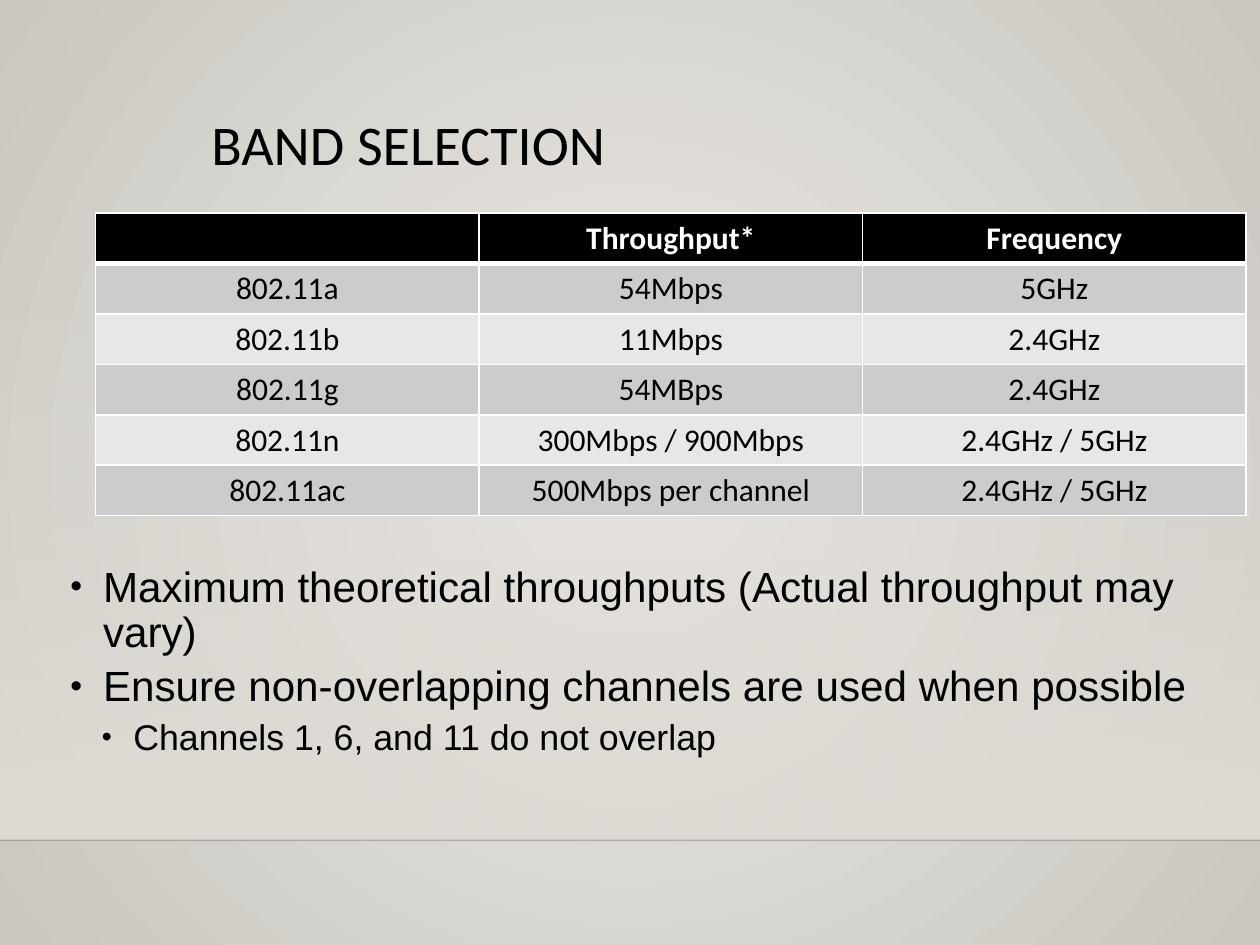
"""Build the Band Selection slide with its Wi-Fi table and notes on channels."""
from lxml import etree
from pptx import Presentation
from pptx.dml.color import RGBColor
from pptx.enum.shapes import MSO_CONNECTOR, MSO_SHAPE
from pptx.enum.text import PP_ALIGN
from pptx.oxml.ns import qn
from pptx.util import Inches, Pt

CENTER = PP_ALIGN.CENTER
RECT = MSO_SHAPE.RECTANGLE
STRAIGHT = MSO_CONNECTOR.STRAIGHT
ROWS = [
    ("", "Throughput*", "Frequency"),
    ("802.11a", "54Mbps", "5GHz"),
    ("802.11b", "11Mbps", "2.4GHz"),
    ("802.11g", "54MBps", "2.4GHz"),
    ("802.11n", "300Mbps / 900Mbps", "2.4GHz / 5GHz"),
    ("802.11ac", "500Mbps per channel", "2.4GHz / 5GHz"),
]
NOTES = [
    ("Maximum theoretical throughputs (Actual throughput may vary)", 0, 24.1, 0.51, -0.26),
    ("Ensure non-overlapping channels are used when possible", 0, 24.1, 0.51, -0.26),
    ("Channels 1, 6, and 11 do not overlap", 1, 20.4, 0.75, -0.25),
]


def paint(color, value):
    color.rgb = RGBColor.from_string(value)


def add(parent, tag, **attrs):
    node = etree.SubElement(parent, qn(tag))
    for name, value in attrs.items():
        node.set(name, str(value))
    return node


prs = Presentation()
prs.slide_width, prs.slide_height = Inches(10), Inches(7.5)
slide = prs.slides.add_slide(prs.slide_layouts[6])

back = slide.background.fill
back.gradient()
for stop, value in zip(back.gradient_stops, ("ECEAE7", "CAC7C1")):
    paint(stop.color, value)
grad = slide.element.find(".//" + qn("a:gradFill"))
grad.remove(grad.find(qn("a:lin")))
ring = add(grad, "a:path", path="circle")
add(ring, "a:fillToRect", l=50000, t=50000, r=50000, b=50000)

wall = slide.shapes.add_shape(RECT, 0, Inches(2.2), Inches(10), Inches(4.46))
wall.shadow.inherit = False
wall.line.fill.background()
wall.fill.gradient()
wall.fill.gradient_angle = 270
for stop, place in zip(wall.fill.gradient_stops, (0, 1)):
    paint(stop.color, "DFDBD5")
    stop.position = place
add(wall.element.find(".//" + qn("a:srgbClr")), "a:alpha", val=0)

floor = slide.shapes.add_connector(STRAIGHT, 0, Inches(6.67), Inches(10), Inches(6.67))
floor.line.width = Pt(1)
paint(floor.line.color, "000001")
add(floor.element.find(".//" + qn("a:srgbClr")), "a:alpha", val=20000)
add(floor.element.spPr, "a:effectLst")

title = slide.shapes.add_textbox(Inches(1.58), Inches(0.88), Inches(7.19), Inches(1.15))
title.text_frame.word_wrap = True
title.text_frame.text = "BAND SELECTION"
para = title.text_frame.paragraphs[0]
para.line_spacing = 0.9
para.font.name, para.font.size = "Calibri", Pt(32)
paint(para.font.color, "000000")

frame = slide.shapes.add_table(
    len(ROWS), 3, Inches(0.76), Inches(1.69), Inches(9.13), Inches(2.18))
table = frame.table
for row, texts in enumerate(ROWS):
    head = row == 0
    for col, text in enumerate(texts):
        cell = table.cell(row, col)
        cell.fill.solid()
        paint(cell.fill.fore_color, "000000" if head else ("E7E7E7", "CCCCCC")[row % 2])
        cell.text_frame.text = text
        para = cell.text_frame.paragraphs[0]
        para.alignment = CENTER
        para.font.name, para.font.size, para.font.bold = "Calibri", Pt(18), head
        paint(para.font.color, "FFFFFF" if head else "000000")
        props = cell._tc.get_or_add_tcPr()
        for spot, side in enumerate("LRTB"):
            thick = (row, side) in ((0, "B"), (1, "T"))
            edge = add(props, "a:ln" + side, w=Pt(3 if thick else 1))
            add(add(edge, "a:solidFill"), "a:srgbClr", val="FFFFFF")
            props.insert(spot, edge)

notes = slide.shapes.add_textbox(Inches(0.21), Inches(4.44), Inches(9.58), Inches(1.91))
body = notes.text_frame
body.word_wrap = True
for pos, (text, level, size, left, hang) in enumerate(NOTES):
    para = body.add_paragraph() if pos else body.paragraphs[0]
    para.text = text
    para.level = level
    para.line_spacing = 0.9
    para.space_before = Pt(5 if pos else 0)
    props = para._p.get_or_add_pPr()
    props.set("marL", str(Inches(left)))
    props.set("indent", str(Inches(hang)))
    add(props, "a:buSzPct", val=80000)
    add(props, "a:buFont", typeface="Arial")
    add(props, "a:buChar", char="•")
    para.font.name, para.font.size = "Arial", Pt(size)
    paint(para.font.color, "000000")

prs.save("out.pptx")
